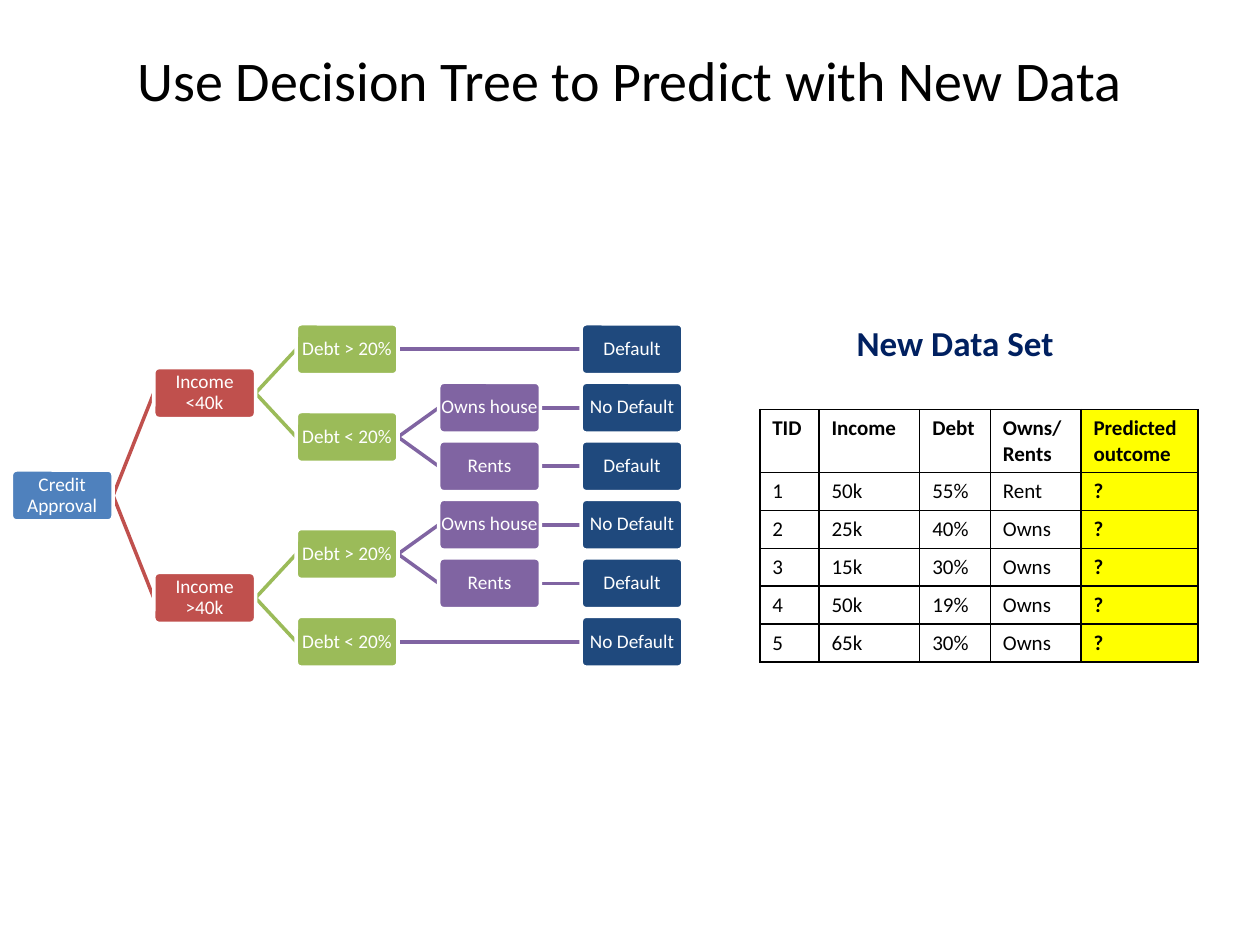
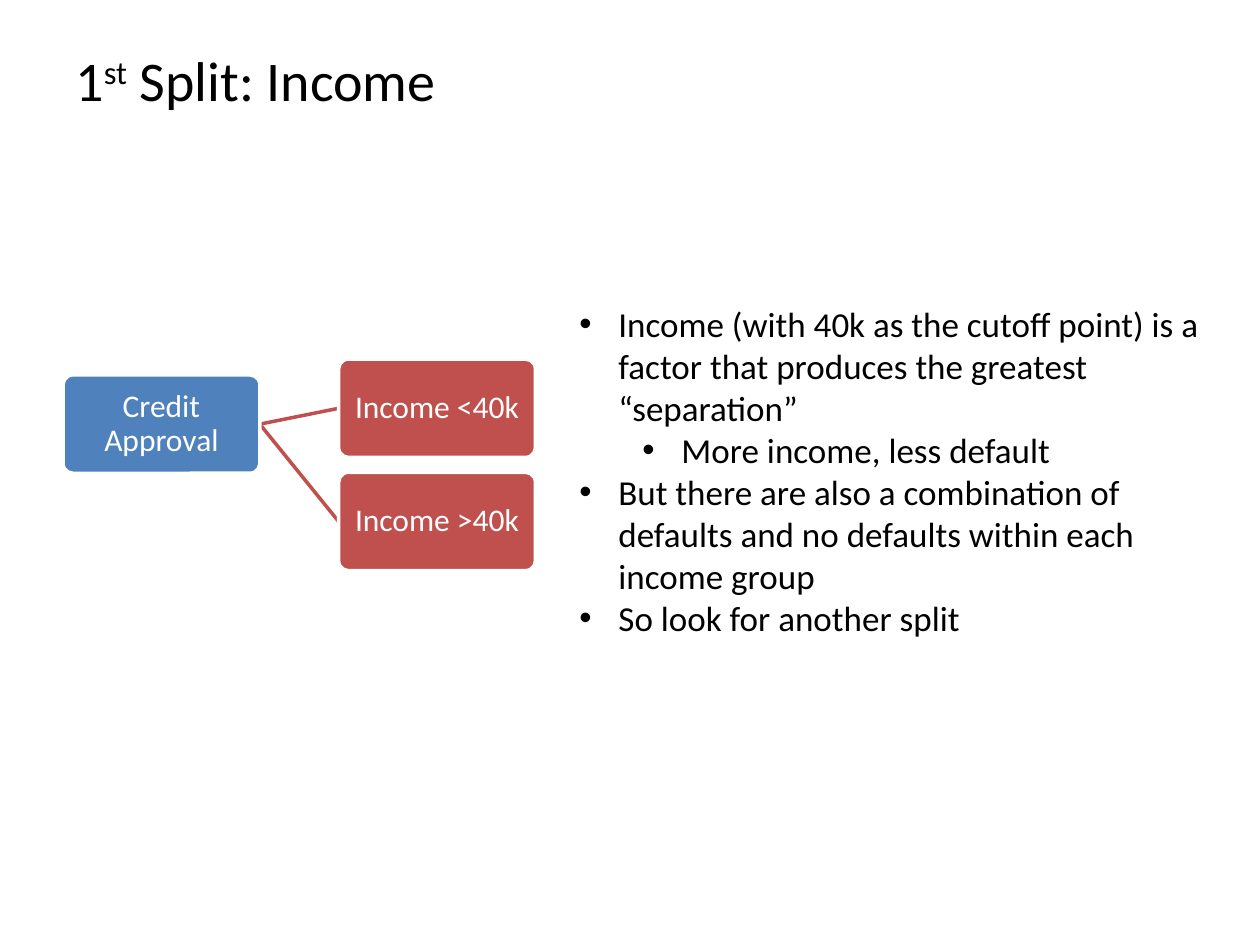
from collections import namedtuple
from itertools import count

from lxml import etree
from pptx import Presentation
from pptx.dml.color import RGBColor
from pptx.enum.shapes import MSO_CONNECTOR, MSO_SHAPE
from pptx.enum.text import MSO_ANCHOR, PP_ALIGN
from pptx.oxml.ns import qn
from pptx.util import Inches, Pt

ROUND = MSO_SHAPE.ROUNDED_RECTANGLE
LINE = MSO_CONNECTOR.STRAIGHT
MIDDLE, TOP = MSO_ANCHOR.MIDDLE, MSO_ANCHOR.TOP
LEFT, MID = PP_ALIGN.LEFT, PP_ALIGN.CENTER
LEFT_SIDE, RIGHT_SIDE = 1, 3

# Slide grid: 100 columns by 75 rows
COLS, ROWS = 100, 75
UNIT = Inches(0.1)
Box = namedtuple("Box", "x y w h")


class Theme:
    font = "Calibri"
    black, white = "000000", "FFFFFF"
    navy, yellow = "002060", "FFFF00"
    blue, red, green = "4F81BD", "C0504D", "9BBB59"
    purple, dark = "8064A2", "1F497D"
    levels = [blue, red, green, purple, dark]
    links = [blue, red, green, purple, purple]
    title, body, node, small, cell = 32, 20, 18, 11, 12
    rule, edge = 2, 1


# Box proportions in a tree: height to width, steps to box size
RATIO, STEP_X, STEP_Y = 0.5, 1.4, 1.15

# A node is its text and its branches; a node without branches is an outcome
BAD, GOOD = ("Default", []), ("No Default", [])
HOUSE = [("Owns house", [GOOD]), ("Rents", [BAD])]
CREDIT = ("Credit\nApproval", [
    ("Income\n<40k", [("Debt > 20%", [BAD]), ("Debt < 20%", HOUSE)]),
    ("Income\n>40k", [("Debt > 20%", HOUSE), ("Debt < 20%", [GOOD])]),
])
SPLIT = ("Credit\nApproval", [("Income <40k", []), ("Income >40k", [])])

HEADS = ["TID", "Income", "Debt", "Owns/\nRents", "Predicted outcome"]
CASES = [
    ["1", "50k", "55%", "Rent", "?"],
    ["2", "25k", "40%", "Owns", "?"],
    ["3", "15k", "30%", "Owns", "?"],
    ["4", "50k", "19%", "Owns", "?"],
    ["5", "65k", "30%", "Owns", "?"],
]
WIDTHS = [4.7, 8, 5.6, 7.2, 9.3]
HEAD_ROW, CASE_ROW = 5, 3

POINTS = [
    (0, "Income (with 40k as the cutoff point) is a factor that produces "
        "the greatest “separation”"),
    (1, "More income, less default"),
    (0, "But there are also a combination of defaults and no defaults "
        "within each income group"),
    (0, "So look for another split"),
]


def rgb(tone):
    return RGBColor.from_string(tone)


def span(*cells):
    """Turn grid units into slide lengths."""
    return [round(c * UNIT) for c in cells]


def write(par, text, size, tone=Theme.black, bold=False, raised=False):
    """Add text as runs, with a line break between its lines."""
    for num, line in enumerate(text.split("\n")):
        if num:
            par.add_line_break()
        run = par.add_run()
        run.text = line
        font = run.font
        font.name, font.size, font.bold = Theme.font, Pt(size), bold
        font.color.rgb = rgb(tone)
        if raised:
            font._element.set("baseline", "30000")


def frame(slide, box, anchor=TOP):
    text = slide.shapes.add_textbox(*span(*box)).text_frame
    text.word_wrap = True
    text.vertical_anchor = anchor
    return text


def heading(slide, box, parts, align):
    """Slide title from (text, raised) parts."""
    par = frame(slide, box, MIDDLE).paragraphs[0]
    par.alignment = align
    for text, raised in parts:
        write(par, text, Theme.title, raised=raised)


def card(slide, box, text, tone, size):
    """One node of a tree."""
    shape = slide.shapes.add_shape(ROUND, *span(*box))
    shape.adjustments[0] = 0.1
    shape.shadow.inherit = False
    shape.fill.solid()
    shape.fill.fore_color.rgb = rgb(tone)
    shape.line.color.rgb = rgb(Theme.white)
    shape.line.width = Pt(Theme.rule)
    area = shape.text_frame
    area.word_wrap = False
    area.vertical_anchor = MIDDLE
    area.margin_left = area.margin_right = Inches(0.01)
    area.margin_top = area.margin_bottom = Inches(0.01)
    par = area.paragraphs[0]
    par.alignment, par.line_spacing = MID, 0.9
    write(par, text, size, Theme.white)
    return shape


def link(slide, start, end, tone):
    """Join two nodes, with the line lying behind the second."""
    line = slide.shapes.add_connector(LINE, 0, 0, 0, 0)
    line.begin_connect(start, RIGHT_SIDE)
    line.end_connect(end, LEFT_SIDE)
    line.line.color.rgb = rgb(tone)
    line.line.width = Pt(Theme.rule)
    etree.SubElement(line._element.spPr, qn("a:effectLst"))
    end._element.addprevious(line._element)


def tree(slide, box, root, depth, size, root_row=None):
    """Outcomes fill the last column; each parent centres on its branches."""
    wide = box.w / (1 + STEP_X * (depth - 1))
    high = wide * RATIO
    rows = count()

    def grow(node, level):
        text, kids = node
        made = [grow(kid, level + 1) for kid in kids]
        col = level if kids else depth - 1
        if not kids:
            row = next(rows)
        elif level == 0 and root_row is not None:
            row = root_row
        else:
            row = sum(spot for _, spot, _ in made) / len(made)
        place = Box(box.x + col * STEP_X * wide,
                    box.y + row * STEP_Y * high, wide, high)
        shape = card(slide, place, text, Theme.levels[col], size)
        for kid, _, step in made:
            link(slide, shape, kid, Theme.links[step])
        return shape, row, col

    grow(root, 0)


def border(cell):
    props = cell._tc.get_or_add_tcPr()
    for side in ("lnL", "lnR", "lnT", "lnB"):
        line = etree.SubElement(props, qn(f"a:{side}"), w=str(Pt(Theme.edge)))
        fill = etree.SubElement(line, qn("a:solidFill"))
        etree.SubElement(fill, qn("a:srgbClr"), val=Theme.black)


def grid(slide, box):
    """Table of new cases, with the outcome column marked."""
    data = [HEADS] + CASES
    table = slide.shapes.add_table(len(data), len(HEADS), *span(*box)).table
    table.first_row = table.horz_banding = False
    for col, wide in zip(table.columns, WIDTHS):
        col.width = span(wide)[0]
    last = len(HEADS) - 1
    for r, items in enumerate(data):
        table.rows[r].height = span(CASE_ROW if r else HEAD_ROW)[0]
        for c, text in enumerate(items):
            cell = table.cell(r, c)
            border(cell)
            cell.fill.solid()
            tone = Theme.yellow if c == last else Theme.white
            cell.fill.fore_color.rgb = rgb(tone)
            write(cell.text_frame.paragraphs[0], text, Theme.cell,
                  bold=r == 0 or c == last)


def label(slide, box, text):
    par = frame(slide, box).paragraphs[0]
    par.alignment = MID
    write(par, text, Theme.body, Theme.navy, bold=True)


def notes(slide, box):
    """Bulleted points on two levels."""
    area = frame(slide, box)
    for num, (level, text) in enumerate(POINTS):
        par = area.add_paragraph() if num else area.paragraphs[0]
        par.level = level
        props = par._p.get_or_add_pPr()
        props.set("marL", str(Inches(0.31 + 0.5 * level)))
        props.set("indent", str(-Inches(0.31)))
        etree.SubElement(props, qn("a:buFont"), typeface="Arial")
        etree.SubElement(props, qn("a:buChar"), char="•")
        write(par, text, Theme.body)


def predict(slide, title):
    """Full tree beside the new data."""
    heading(slide, title,
            [("Use Decision Tree to Predict with New Data", False)], MID)
    label(slide, Box(60.4, 25, 30.8, 4.4), "New Data Set")
    tree(slide, Box(0.9, 25.7, 53.3, 27.2), CREDIT, 5, Theme.small)
    high = HEAD_ROW + CASE_ROW * len(CASES)
    grid(slide, Box(60.3, 32.5, sum(WIDTHS), high))


def first(slide, title):
    """First split beside its points."""
    heading(slide, title,
            [("1", False), ("st", True), (" Split: Income", False)], LEFT)
    tree(slide, Box(5, 28.5, 37.5, 16.8), SPLIT, 2, Theme.node, 0.14)
    notes(slide, Box(45, 23.5, 52.5, 27.9))


def main():
    deck = Presentation()
    deck.slide_width, deck.slide_height = span(COLS, ROWS)
    title = Box(0.05 * COLS, 0, 0.9 * COLS, ROWS / 6)
    for build in (predict, first):
        build(deck.slides.add_slide(deck.slide_layouts[6]), title)
    deck.save("out.pptx")


if __name__ == "__main__":
    main()
